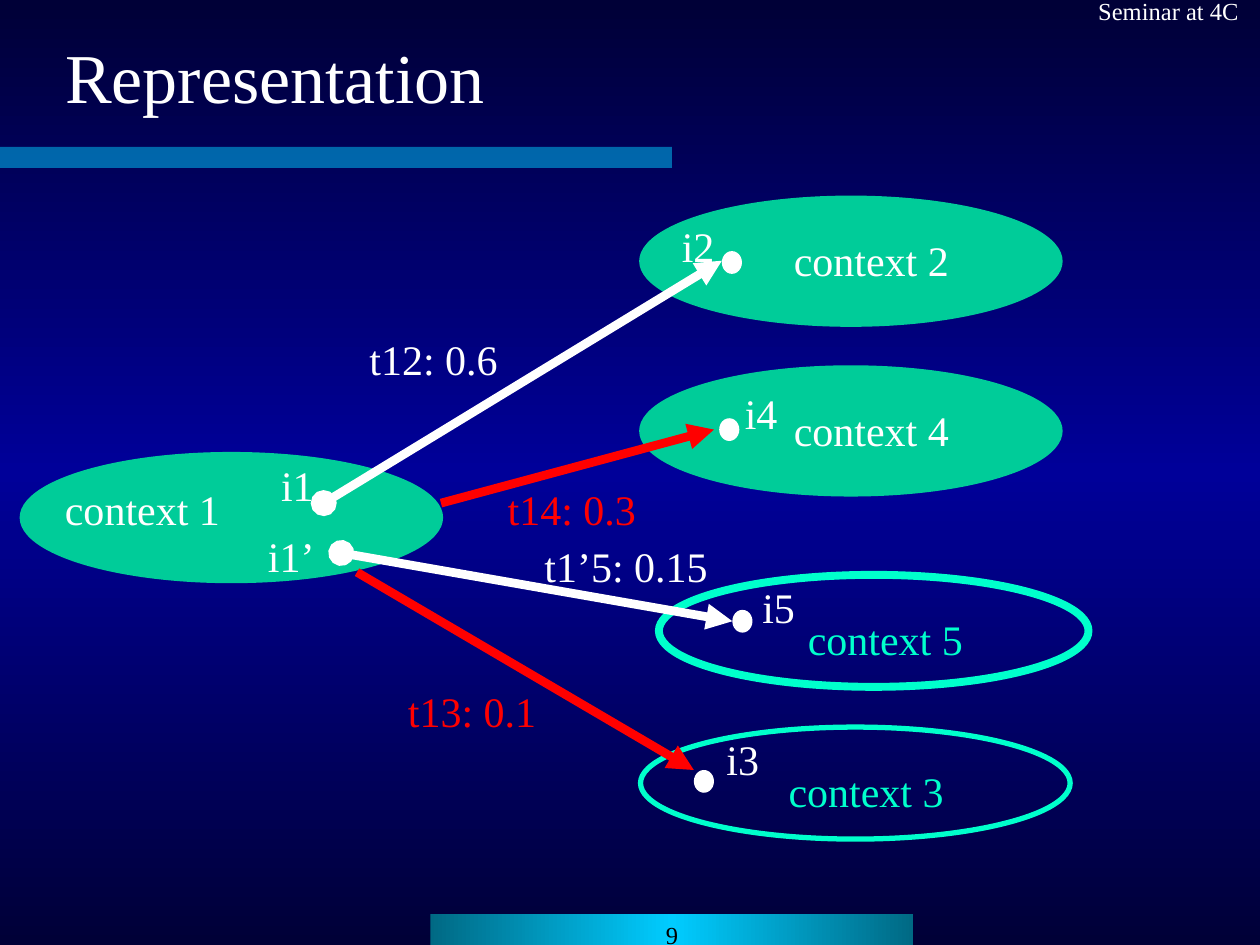
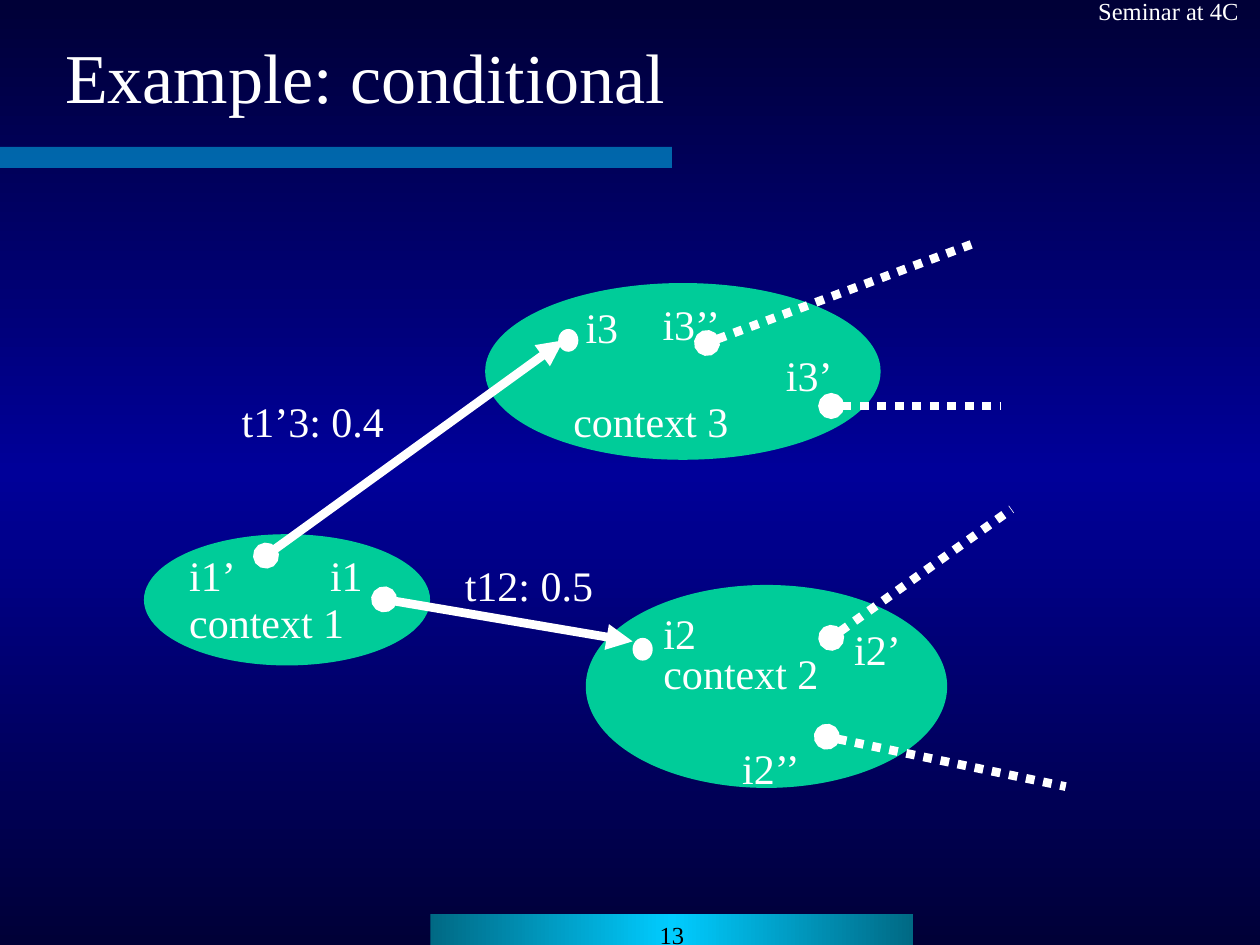
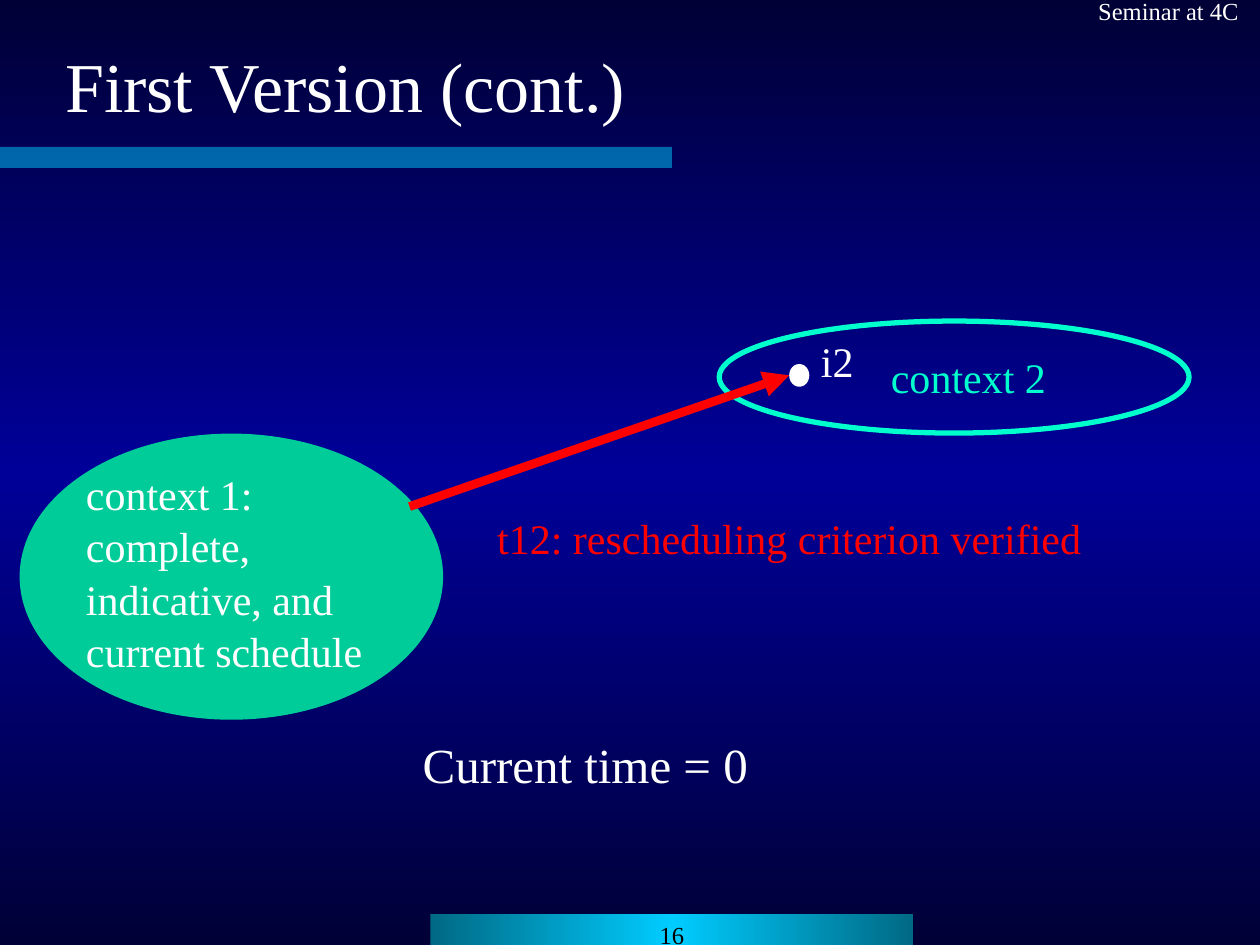
from copy import deepcopy

from pptx import Presentation
from pptx.dml.color import RGBColor
from pptx.enum.dml import MSO_LINE
from pptx.enum.shapes import MSO_CONNECTOR, MSO_SHAPE
from pptx.enum.text import MSO_ANCHOR, MSO_AUTO_SIZE, PP_ALIGN
from pptx.oxml.ns import qn
from pptx.oxml.xmlchemy import OxmlElement
from pptx.util import Pt

# Colours and type
WHITE = RGBColor(0xFF, 0xFF, 0xFF)
BLACK = RGBColor(0x00, 0x00, 0x00)
RED = RGBColor(0xFF, 0x00, 0x00)
GREEN = RGBColor(0x00, 0xCC, 0x99)
AQUA = RGBColor(0x00, 0xFF, 0xCC)
CYAN = RGBColor(0x00, 0xCC, 0xFF)
TEAL = RGBColor(0x00, 0x69, 0x84)
NIGHT = RGBColor(0x00, 0x00, 0x37)
NAVY = RGBColor(0x00, 0x00, 0x99)
FONT = "Times New Roman"

# Sizes in points
DOT_WIDTH, DOT_HEIGHT = 11.5, 13
LABEL_WIDTH, LABEL_HEIGHT = 131, 27
ARROW_WEIGHT = 5


def place(left, top, width, height):
    return Pt(left), Pt(top), Pt(width), Pt(height)


def fill_mirrored(fill, element, edge, middle, angle):
    """Gradient that runs from edge to middle and back to edge."""
    fill.gradient()
    fill.gradient_angle = angle
    stops = next(element.iter(qn("a:gsLst")))
    stops.insert(1, deepcopy(stops[0]))
    for stop, colour, position in zip(
            fill.gradient_stops, (edge, middle, edge), (0, 0.5, 1)):
        stop.color.rgb = colour
        stop.position = position


def write(frame, text, size=24, colour=WHITE, align=PP_ALIGN.LEFT,
          anchor=MSO_ANCHOR.TOP, wrap=True, spacing=None):
    frame.text = text
    frame.word_wrap = wrap
    frame.auto_size = MSO_AUTO_SIZE.NONE
    frame.vertical_anchor = anchor
    for para in frame.paragraphs:
        para.alignment = align
        para.line_spacing = spacing
        para.font.name = FONT
        para.font.size = Pt(size)
        para.font.color.rgb = colour


def add_label(page, text, left, top, width=LABEL_WIDTH, height=LABEL_HEIGHT,
              **style):
    box = page.shapes.add_textbox(*place(left, top, width, height))
    write(box.text_frame, text, **style)


def add_plain(page, kind, *area):
    """Preset shape without shadow, fill or line."""
    shape = page.shapes.add_shape(kind, *place(*area))
    shape.shadow.inherit = False
    shape.fill.background()
    shape.line.fill.background()
    return shape


def add_context(page, *area, outline=None):
    """Filled ellipse, or a hollow one when an outline weight is given."""
    ellipse = add_plain(page, MSO_SHAPE.OVAL, *area)
    if outline is None:
        ellipse.fill.solid()
        ellipse.fill.fore_color.rgb = GREEN
    ellipse.line.color.rgb = AQUA if outline else GREEN
    ellipse.line.width = Pt(outline or 1.5)


def add_dot(page, left, top):
    dot = add_plain(page, MSO_SHAPE.OVAL, left, top, DOT_WIDTH, DOT_HEIGHT)
    dot.fill.solid()
    dot.fill.fore_color.rgb = WHITE


def add_transition(page, start, end, colour=WHITE, head="oval",
                   tail="triangle", dotted=False):
    link = page.shapes.add_connector(
        MSO_CONNECTOR.STRAIGHT, *(Pt(value) for value in (*start, *end)))
    link.line.color.rgb = colour
    link.line.width = Pt(ARROW_WEIGHT)
    if dotted:
        link.line.dash_style = MSO_LINE.ROUND_DOT
    outline = link.line._get_or_add_ln()
    for tag, kind in (("a:headEnd", head), ("a:tailEnd", tail)):
        if kind:
            tip = OxmlElement(tag)
            tip.set("type", kind)
            outline.append(tip)
    link._element.spPr.append(OxmlElement("a:effectLst"))


def add_page(deck, title, number, title_width, title_height=50.5):
    page = deck.slides.add_slide(deck.slide_layouts[5])

    # Title
    heading = page.shapes.title
    heading.left, heading.top, heading.width, heading.height = place(
        30, 18, title_width, title_height)
    write(heading.text_frame, title, size=40, anchor=MSO_ANCHOR.MIDDLE)

    # Translucent band below the title
    band = add_plain(page, MSO_SHAPE.RECTANGLE, 0, 84, 384, 12)
    band.fill.solid()
    band.fill.fore_color.rgb = CYAN
    alpha = OxmlElement("a:alpha")
    alpha.set("val", "50000")
    next(band._element.spPr.iter(qn("a:srgbClr"))).append(alpha)

    # Page number and event name
    footer = add_plain(page, MSO_SHAPE.RECTANGLE, 246, 522, 276, 18)
    fill_mirrored(footer.fill, footer._element, TEAL, CYAN, 180)
    write(footer.text_frame, str(number), size=14, colour=BLACK,
          align=PP_ALIGN.CENTER)
    add_label(page, "Seminar at 4C", 620.5, -6, 99.5, 24, size=14)
    return page


def build_representation(deck):
    page = add_page(deck, "Representation", 9, 381)

    # Contexts
    for left, top in ((12, 259), (366, 112.5), (366, 209.5)):
        add_context(page, left, top, 240.5, 73.5)
    add_context(page, 366, 415.5, 245.5, 64, outline=3)
    add_context(page, 376.5, 328.5, 245.5, 64, outline=4.5)

    # Labels
    for text, left, top, colour in (
            ("context 1", 30, 273, WHITE),
            ("context 2", 446.5, 130.5, WHITE),
            ("context 4", 446.5, 227.5, WHITE),
            ("context 5", 454.5, 347, AQUA),
            ("context 3", 443.5, 434, AQUA),
            ("i1", 153.5, 259, WHITE),
            ("i1’", 146, 299.5, WHITE),
            ("i2", 382.5, 122.5, WHITE),
            ("i3", 408, 415.5, WHITE),
            ("i4", 418.5, 218, WHITE),
            ("i5", 428.5, 328.5, WHITE),
            ("t12: 0.6", 204, 187, WHITE),
            ("t14: 0.3", 283, 273, RED),
            ("t1’5: 0.15", 304, 305.5, WHITE),
            ("t13: 0.1", 226, 388, RED)):
        add_label(page, text, left, top, colour=colour)

    # Transitions and entry points
    add_transition(page, (185, 287.5), (412.5, 149))
    add_transition(page, (195, 316), (418.5, 355))
    add_transition(page, (252, 287.5), (408, 245.5), colour=RED, head=None)
    add_transition(page, (204, 327), (396.5, 440), colour=RED, head=None)
    for left, top in ((412.5, 143.5), (411, 239), (418.5, 348.5), (396.5, 440)):
        add_dot(page, left, top)


def build_conditional(deck):
    page = add_page(deck, "Example: conditional", 13, 476)

    # Contexts
    add_context(page, 83, 306, 162, 73.5)
    add_context(page, 335.5, 335, 205, 114.5)
    add_context(page, 278, 162.5, 224.5, 99.5)

    # Labels
    for text, left, top in (
            ("context 1", 101, 337.5),
            ("context 2", 372, 366.5),
            ("context 3", 320.5, 222.5),
            ("i1", 181.5, 310.5),
            ("i1’", 101, 310.5),
            ("i2", 372, 343.5),
            ("i2’", 481, 353),
            ("i2’’", 417, 421),
            ("i3", 327.5, 168.5),
            ("i3’", 442, 196),
            ("i3’’", 371.5, 167),
            ("t12: 0.5", 258.5, 316),
            ("t1’3: 0.4", 131, 222.5)):
        add_label(page, text, left, top)

    # Transitions, open continuations and entry points
    add_transition(page, (219.5, 342.5), (361.5, 366.5))
    add_transition(page, (152, 317.5), (322, 194.5))
    for start, end in (
            ((475, 232), (571.5, 232)),
            ((404, 196), (559.5, 138)),
            ((475, 364.5), (578, 291)),
            ((472.5, 421), (609, 449.5))):
        add_transition(page, start, end, tail=None, dotted=True)
    add_dot(page, 319, 188)
    add_dot(page, 361.5, 364.5)


def build_first_version(deck):
    page = add_page(deck, "First Version (cont.)", 16, 690, 60)

    # Contexts
    add_context(page, 12, 248.5, 240.5, 162)
    add_context(page, 411, 183.5, 268.5, 64, outline=3)

    # Labels
    add_label(page, "context 1:\ncomplete, indicative, and current schedule",
              42, 263, 192, 111.5, spacing=1.04)
    add_label(page, "t12: rescheduling criterion verified",
              277, 289.5, 430.5, 46, colour=RED)
    add_label(page, "i2", 462, 188)
    add_label(page, "context 2", 502, 197.5, colour=AQUA)
    add_label(page, "Current time = 0", 234.5, 416, 200, 41, size=28,
              wrap=False)

    # Transition and entry point
    add_dot(page, 451, 208)
    add_transition(page, (234, 289.5), (451, 214.5), colour=RED, head=None)


def main():
    deck = Presentation()
    deck.slide_width, deck.slide_height = Pt(720), Pt(540)
    master = deck.slide_master
    fill_mirrored(master.background.fill, master._element, NIGHT, NAVY, 90)
    build_representation(deck)
    build_conditional(deck)
    build_first_version(deck)
    deck.save("out.pptx")


if __name__ == "__main__":
    main()
